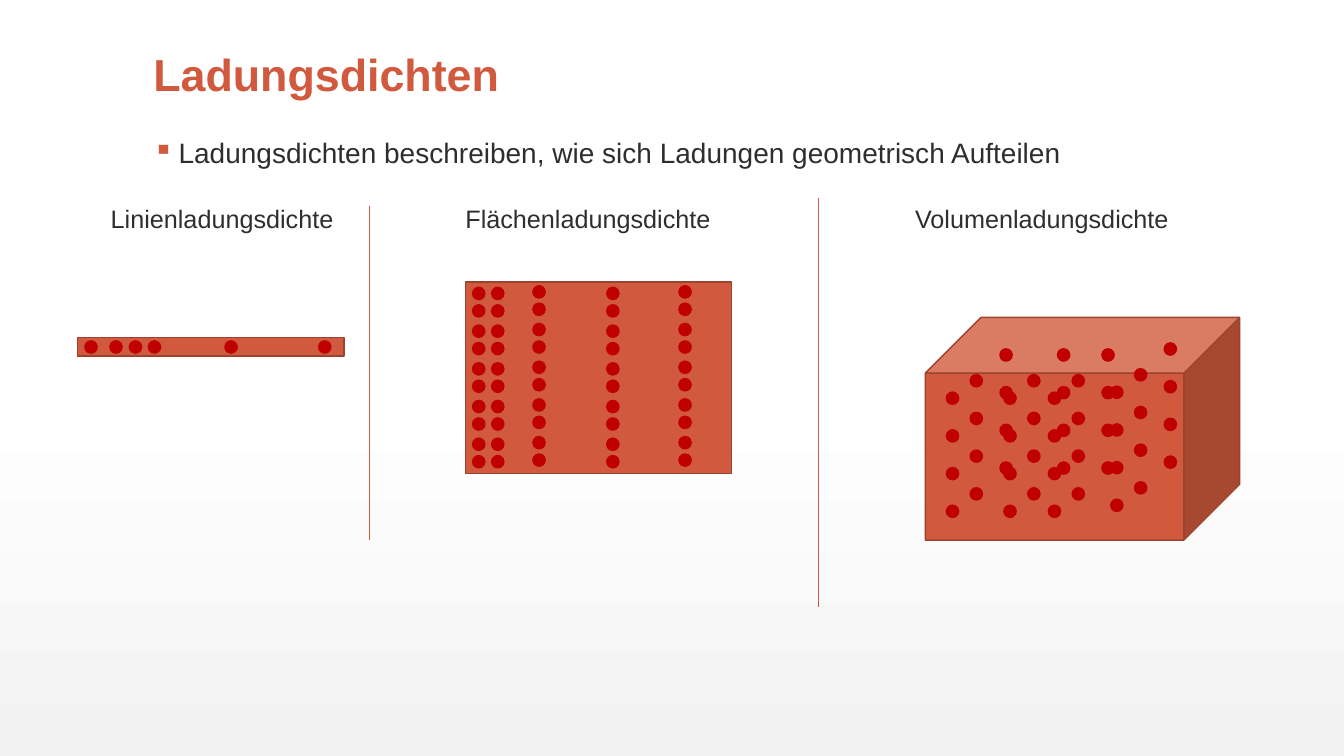
from lxml import etree
from pptx import Presentation
from pptx.dml.color import RGBColor
from pptx.enum.shapes import MSO_CONNECTOR, MSO_SHAPE
from pptx.enum.text import MSO_ANCHOR, PP_ALIGN
from pptx.oxml.ns import qn
from pptx.util import Cm, Pt

LINE = MSO_CONNECTOR.STRAIGHT
RECT = MSO_SHAPE.RECTANGLE
CUBE = MSO_SHAPE.CUBE
OVAL = MSO_SHAPE.OVAL
BOTTOM = MSO_ANCHOR.BOTTOM
LEFT = PP_ALIGN.LEFT

WHITE = RGBColor(0xFF, 0xFF, 0xFF)
PALE = RGBColor(0xF2, 0xF2, 0xF2)
RUST = RGBColor(0xD1, 0x5A, 0x3E)
BROWN = RGBColor(0x9B, 0x43, 0x2E)
RED = RGBColor(0xC0, 0x00, 0x00)
DARK = RGBColor(0x2D, 0x2E, 0x2D)

DOT = 0.31
STEP = 0.95
PAIR = 0.44


def style(para, text, size, color, bold=False):
    """Write text into a paragraph and set its font."""
    para.text = text
    para.alignment = LEFT
    font = para.font
    font.name, font.size, font.bold = "Arial", Pt(size), bold
    font.color.rgb = color


def shape(slide, kind, box, fill, edge):
    """Add a filled preset shape in the given box."""
    item = slide.shapes.add_shape(kind, *map(Cm, box))
    item.shadow.inherit = False
    item.fill.solid()
    item.fill.fore_color.rgb = fill
    item.line.color.rgb = edge
    item.line.width = Pt(1)


def body(slide, kind, box, dots):
    """Draw a charged body and its charges, given as offsets in the box."""
    shape(slide, kind, box, RUST, BROWN)
    for x, y in dots:
        shape(slide, OVAL, (box[0] + x, box[1] + y, DOT, DOT), RED, RED)


def wire(slide, box):
    """Draw the line charge with thinning charges."""
    body(slide, RECT, box,
         [(x, 0.08) for x in (0.18, 0.81, 1.3, 1.78, 3.71, 6.07)])


def plate(slide, box):
    """Draw the surface charge as columns of paired charges."""
    cols = [(0.18, 0.13), (0.66, 0.13), (1.7, 0.09), (3.56, 0.13), (5.38, 0.09)]
    body(slide, RECT, box,
         [(x, top + row * STEP + gap)
          for x, top in cols for row in range(5) for gap in (0, PAIR)])


def block(slide, box):
    """Draw the volume charge as columns repeated into the depth."""
    cols = [(0.53, 1.88), (1.98, 1.88), (3.1, 1.88), (4.67, 1.73)]
    depths = [(0, 0), (0.6, -0.44), (1.35, -1.09)]
    body(slide, CUBE, box,
         [(x + dx, top + dy + row * STEP)
          for x, top in cols for dx, dy in depths for row in range(4)])


def rule(slide, x, top, end):
    """Draw a thin upright divider."""
    line = slide.shapes.add_connector(LINE, Cm(x), Cm(top), Cm(x), Cm(end))
    line.line.color.rgb = RUST
    line.line.width = Pt(0.5)
    etree.SubElement(line._element.spPr, qn("a:effectLst"))


def label(slide, box, text):
    """Add the heading of one kind of charge density."""
    frame = slide.shapes.add_textbox(*map(Cm, box)).text_frame
    frame.word_wrap = False
    style(frame.paragraphs[0], text, 18, DARK)


def head(slide, box):
    """Place and format the title."""
    title = slide.shapes.title
    title.left, title.top, title.width, title.height = map(Cm, box)
    frame = title.text_frame
    frame.vertical_anchor = BOTTOM
    para = frame.paragraphs[0]
    para.line_spacing = 0.9
    style(para, "Ladungsdichten", 32, RUST, True)


def intro(slide, box):
    """Add the bulleted sentence."""
    frame = slide.shapes.add_textbox(*map(Cm, box)).text_frame
    frame.word_wrap = True
    para = frame.paragraphs[0]
    para.line_spacing = 0.9
    props = para._p.get_or_add_pPr()
    props.set("marL", str(Cm(0.64)))
    props.set("indent", str(-Cm(0.64)))
    tint = etree.SubElement(props, qn("a:buClr"))
    etree.SubElement(tint, qn("a:srgbClr"), val=str(RUST))
    etree.SubElement(props, qn("a:buChar"), char="▪")
    style(para, "Ladungsdichten beschreiben, wie sich Ladungen "
          "geometrisch Aufteilen", 20, DARK)


def shade(slide):
    """Fade the background from white to pale grey."""
    fill = slide.background.fill
    fill.gradient()
    fill.gradient_angle = 270
    for stop, pos, color in zip(fill.gradient_stops, (0.53, 1), (WHITE, PALE)):
        stop.position = pos
        stop.color.rgb = color


def main():
    """Build and save the slide."""
    deck = Presentation()
    deck.slide_width, deck.slide_height = Cm(33.87), Cm(19.05)
    slide = deck.slides.add_slide(deck.slide_layouts[5])
    shade(slide)
    head(slide, (3.61, 1.07, 26.67, 1.6))
    intro(slide, (3.61, 3.38, 26.67, 1.02))
    rule(slide, 9.3, 5.18, 13.61)
    rule(slide, 20.62, 5, 15.29)
    label(slide, (2.54, 5, 6.17, 1.02), "Linienladungsdichte")
    label(slide, (11.48, 5, 6.76, 1.02), "Flächenladungsdichte")
    label(slide, (22.81, 5, 6.96, 1.02), "Volumenladungsdichte")
    block(slide, (23.32, 8, 7.92, 5.61))
    wire(slide, (1.96, 8.51, 6.71, 0.46))
    plate(slide, (11.73, 7.11, 6.71, 4.83))
    deck.save("out.pptx")


if __name__ == "__main__":
    main()
